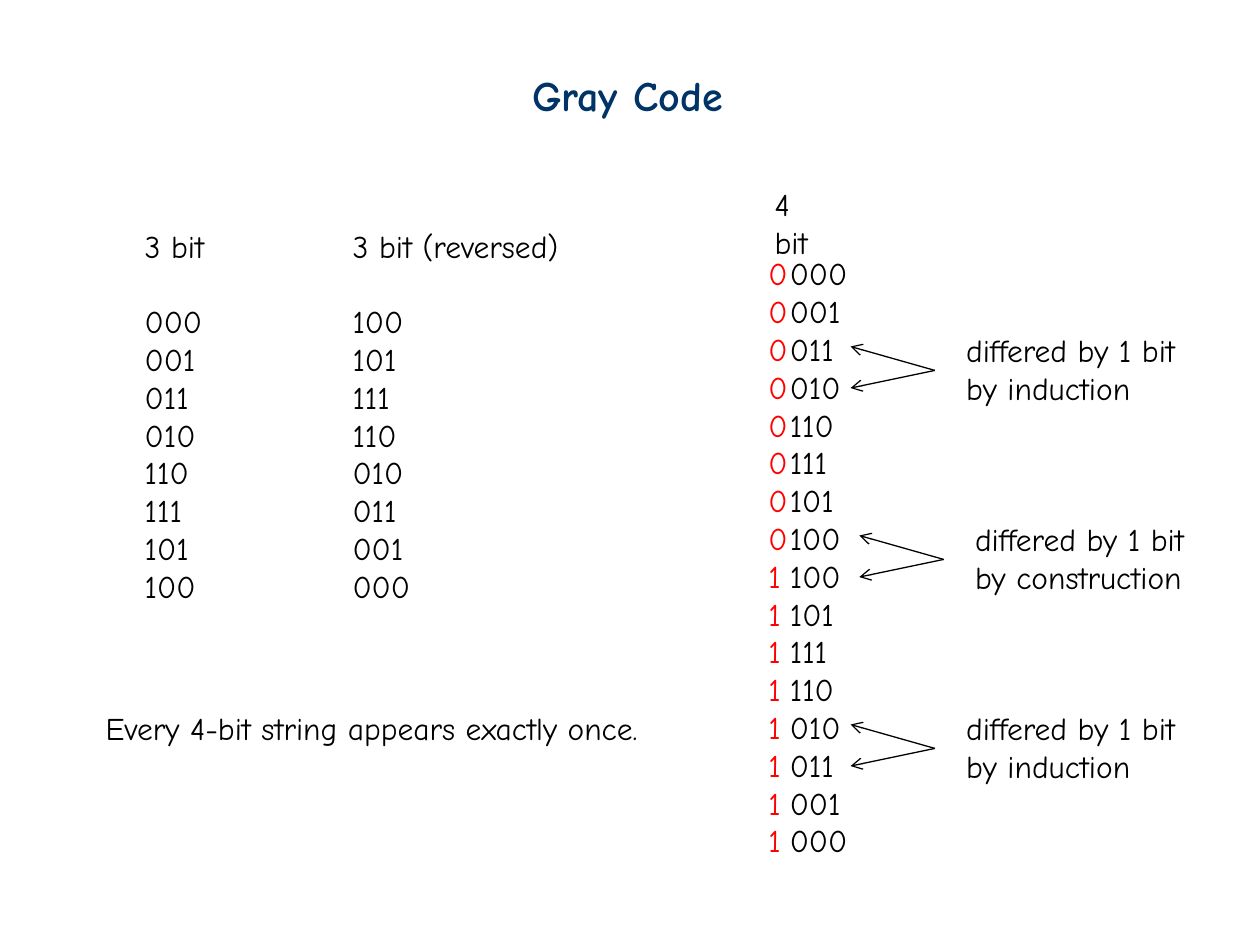
from lxml import etree
from pptx import Presentation
from pptx.dml.color import RGBColor
from pptx.enum.shapes import MSO_CONNECTOR
from pptx.enum.text import MSO_ANCHOR, MSO_AUTO_SIZE, PP_ALIGN
from pptx.oxml.ns import qn
from pptx.util import Inches, Pt

STRAIGHT = MSO_CONNECTOR.STRAIGHT
TOP, CENTER, LEFT = MSO_ANCHOR.TOP, PP_ALIGN.CENTER, PP_ALIGN.LEFT
FIT_SHAPE = MSO_AUTO_SIZE.SHAPE_TO_FIT_TEXT

FONT = "Comic Neue"
NAVY, BLACK, RED = "003366", "000000", "FF0000"
TITLE_ONLY = 5
ROW = 0.3      # height of one line of 18 pt text, in inches
PADDING = 0.1  # top and bottom insets of a box together


def color(value):
    return RGBColor.from_string(value)


def fill_text(shape, lines, size=18, ink=BLACK, bold=False, wrap=False, align=LEFT):
    frame = shape.text_frame
    frame_format = {
        "word_wrap": wrap, "auto_size": FIT_SHAPE, "vertical_anchor": TOP,
        "margin_left": Inches(0.1), "margin_right": Inches(0.1),
        "margin_top": Inches(0.05), "margin_bottom": Inches(0.05),
    }
    for name, value in frame_format.items():
        setattr(frame, name, value)
    font_format = {"name": FONT, "size": Pt(size), "bold": bold}
    for index, line in enumerate(lines):
        para = frame.paragraphs[0] if index == 0 else frame.add_paragraph()
        para.alignment = align
        span = para.add_run()
        span.text = line
        for name, value in font_format.items():
            setattr(span.font, name, value)
        span.font.color.rgb = color(ink)
    return frame


def add_title(page, text):
    title = page.shapes.title
    place = {"left": 4.12, "top": 0.5, "width": 1.72, "height": 0.5}
    for name, value in place.items():
        setattr(title, name, Inches(value))
    fill_text(title, [text], size=24, ink=NAVY, bold=True, align=CENTER)


def add_lines(page, left, top, width, lines, **text_format):
    height = len(lines) * ROW + PADDING
    box = page.shapes.add_textbox(*map(Inches, (left, top, width, height)))
    return fill_text(box, lines, **text_format)


def add_headed_codes(page, left, width, heading, codes):
    frame = add_lines(page, left, 1.75, width, [heading, *codes])
    frame.paragraphs[0].space_after = Pt(ROW * 72)
    frame.paragraphs[0].line_spacing = 1.0


def add_arrow(page, start, end):
    arrow = page.shapes.add_connector(STRAIGHT, *map(Inches, (*start, *end)))
    arrow.line.color.rgb = color(BLACK)
    arrow.line.width = Pt(0.75)
    etree.SubElement(arrow.line._get_or_add_ln(), qn("a:tailEnd"), type="arrow")
    etree.SubElement(arrow._element.spPr, qn("a:effectLst"))


def add_remark(page, left, top, reason):
    """A two-line remark with arrows to two neighbouring codes."""
    add_lines(page, left, top, 1.87, ["differed by 1 bit", reason])
    for drop in (0.17, 0.5):
        add_arrow(page, (left - 0.15, top + 0.36), (left - 0.82, top + drop))


def main():
    deck = Presentation()
    deck.slide_width, deck.slide_height = Inches(10), Inches(7.5)
    page = deck.slides.add_slide(deck.slide_layouts[TITLE_ONLY])
    add_title(page, "Gray Code")

    # Three-bit code, forwards and backwards
    codes = [f"{number ^ number >> 1:03b}" for number in range(8)]
    mirrored = codes[::-1]
    add_headed_codes(page, 1.05, 0.67, "3 bit", codes)
    add_headed_codes(page, 2.7, 1.84, "3 bit (reversed)", mirrored)

    # Four-bit code: both halves with a red leading bit
    code_top = 1.97
    add_lines(page, 6.05, 1.42, 0.66, ["4 bit"])
    add_lines(page, 6.17, code_top, 0.83, codes, wrap=True)
    add_lines(page, 6.17, code_top + len(codes) * ROW, 0.92, mirrored, wrap=True)
    add_lines(page, 6, code_top, 0.35, ["0"] * 8 + ["1"] * 8, ink=RED)

    # Remarks, five code rows apart
    remarks = [(7.57, "by induction"), (7.64, "by construction"), (7.57, "by induction")]
    for index, (left, reason) in enumerate(remarks):
        add_remark(page, left, 2.58 + index * 5 * ROW, reason)

    # Conclusion
    add_lines(page, 0.74, 5.58, 4.43, ["Every 4-bit string appears exactly once."])
    deck.save("out.pptx")


if __name__ == "__main__":
    main()
